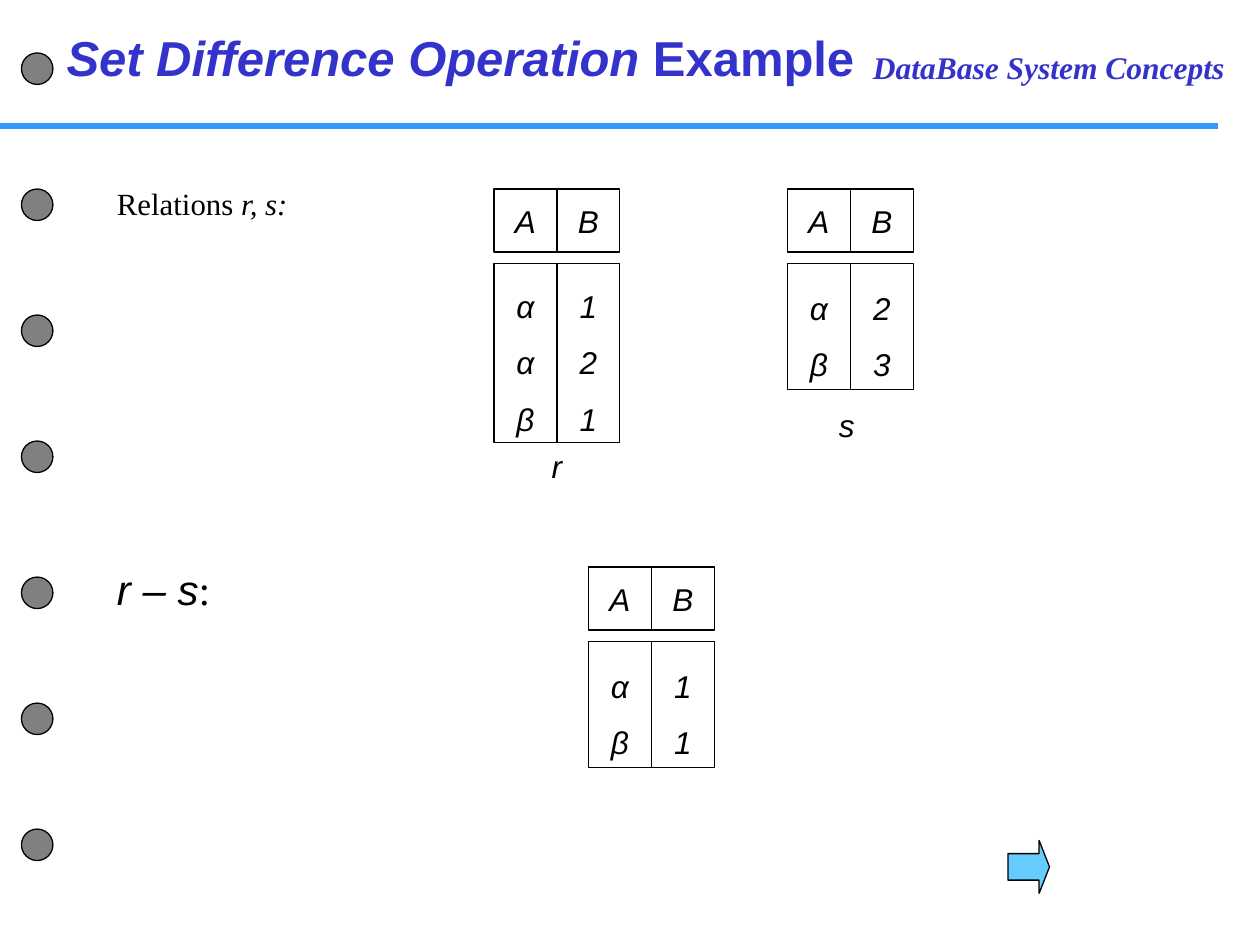
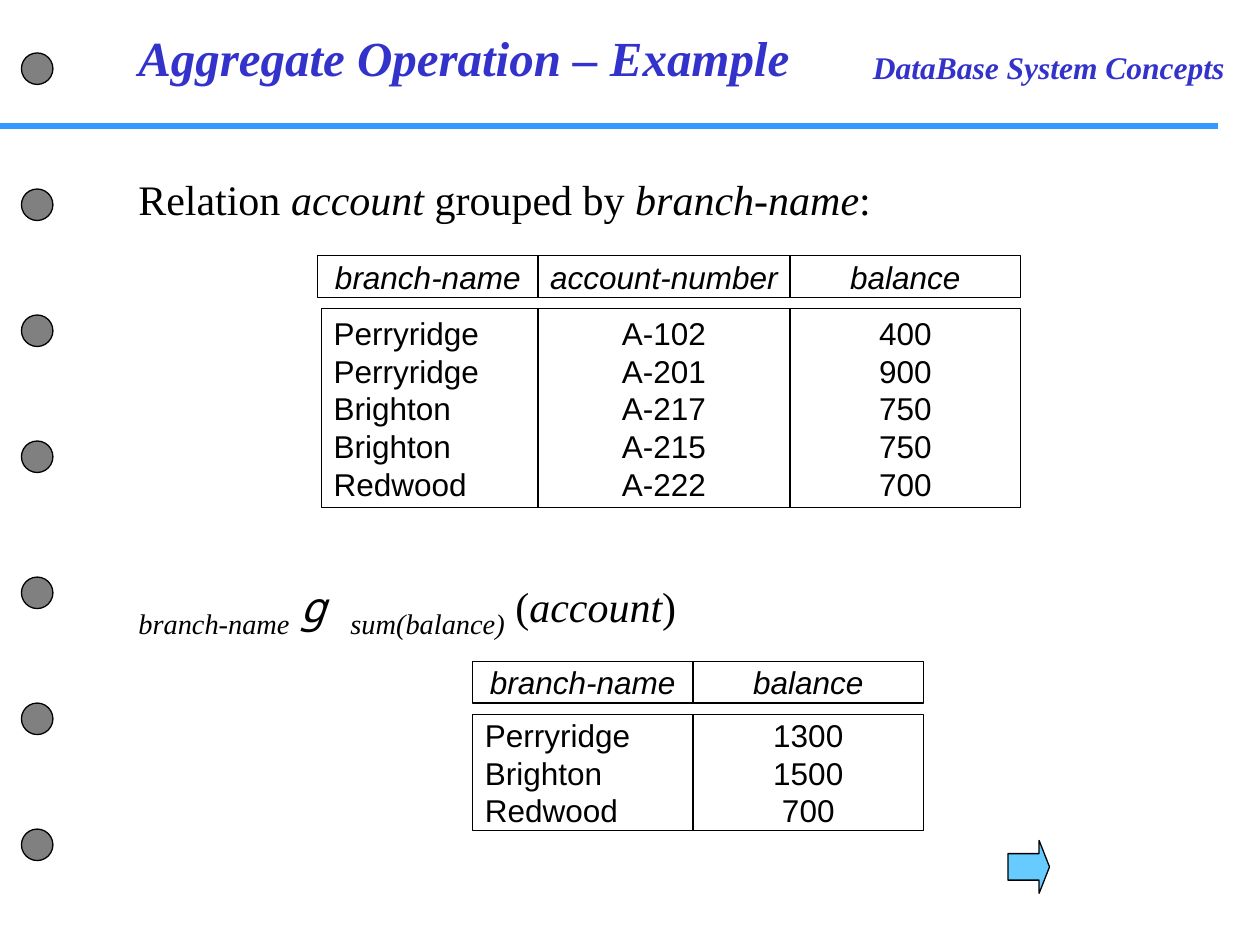
from pptx import Presentation
from pptx.dml.color import RGBColor
from pptx.enum.shapes import MSO_CONNECTOR as Connector, MSO_SHAPE as Preset
from pptx.enum.text import MSO_ANCHOR as Anchor, MSO_AUTO_SIZE as AutoSize, PP_ALIGN as Align
from pptx.oxml.ns import qn
from pptx.util import Inches, Pt
from lxml import etree

BLACK, WHITE = "000000", "FFFFFF"
TITLE_BLUE, RULE_BLUE = "3333CC", "3399FF"
DOT_GRAY, ARROW_BLUE = "808080", "66CCFF"
SANS, SERIF, MONO = "Arial", "Times New Roman", "Noto Sans Mono"
DOT_TOPS = (0.42, 1.5, 2.5, 3.5, 4.58, 5.58, 6.58)
HEADER_GAP = 0.09


def rgb(color):
    return RGBColor.from_string(color)


def format_run(run, size, font=SANS, color=BLACK, bold=False, italic=False, baseline=0):
    run.font.size = Pt(size)
    run.font.name = font
    run.font.color.rgb = rgb(color)
    run.font.bold = bold
    run.font.italic = italic
    if baseline:
        run._r.get_or_add_rPr().set("baseline", str(baseline * 1000))


def add_preset(slide, preset, left, top, width, height, fill):
    shape = slide.shapes.add_shape(
        preset, Inches(left), Inches(top), Inches(width), Inches(height))
    shape.shadow.inherit = False
    shape.fill.solid()
    shape.fill.fore_color.rgb = rgb(fill)
    shape.line.color.rgb = rgb(BLACK)
    shape.line.width = Pt(0.75)
    return shape


def add_text(slide, left, top, width, height, runs, wrap=True, grow=False, **style):
    box = slide.shapes.add_textbox(
        Inches(left), Inches(top), Inches(width), Inches(height))
    text_frame = box.text_frame
    text_frame.word_wrap = wrap
    text_frame.auto_size = AutoSize.SHAPE_TO_FIT_TEXT if grow else AutoSize.NONE
    for text, changes in runs:
        run = text_frame.paragraphs[0].add_run()
        run.text = text
        format_run(run, **{**style, **changes})
    return box


def add_title(slide, left, width, runs, font):
    add_text(slide, left, 0.17, width, 0.57, runs, grow=True,
             size=28, font=font, color=TITLE_BLUE, bold=True, italic=True)


def add_relation_label(slide, left, top, width, name):
    label = add_text(slide, left, top, width, 0.4, [(name, {})],
                     wrap=False, grow=True, size=18, italic=True)
    label.text_frame.vertical_anchor = Anchor.MIDDLE
    label.text_frame.paragraphs[0].alignment = Align.CENTER


def add_cell(slide, left, top, width, height, lines, align, italic, spacing):
    cell = add_preset(slide, Preset.RECTANGLE, left, top, width, height, WHITE)
    text_frame = cell.text_frame
    text_frame.word_wrap = False
    text_frame.vertical_anchor = Anchor.MIDDLE
    text_frame.text = "\n".join(lines)
    for paragraph in text_frame.paragraphs:
        paragraph.alignment = align
        paragraph.line_spacing = spacing
        format_run(paragraph.runs[0], 18, italic=italic)


def add_relation(slide, left, top, header_height, body_height, columns,
                 italic=False, spacing=1.0, first_shift=0):
    body_top = top + header_height + HEADER_GAP
    for index, (name, width, values, align) in enumerate(columns):
        shift = 0 if index else first_shift
        add_cell(slide, left, top, width, header_height, [name], Align.CENTER, True, 1.0)
        add_cell(slide, left + shift, body_top, width, body_height, values,
                 align, italic, spacing)
        left += width


def add_symbol_relation(slide, left, top, body_height, a_values, b_values):
    columns = [("A", 0.5, a_values, Align.CENTER), ("B", 0.5, b_values, Align.CENTER)]
    add_relation(slide, left, top, 0.5, body_height, columns, italic=True, spacing=1.5)


def add_base_slide(presentation):
    slide = presentation.slides.add_slide(presentation.slide_layouts[6])
    rule = slide.shapes.add_connector(
        Connector.STRAIGHT, Inches(0), Inches(1), Inches(9.67), Inches(1))
    rule.line.color.rgb = rgb(RULE_BLUE)
    rule.line.width = Pt(3)
    etree.SubElement(rule._element.spPr, qn("a:effectLst"))
    for top in DOT_TOPS:
        add_preset(slide, Preset.OVAL, 0.17, top, 0.25, 0.25, DOT_GRAY)
    add_text(slide, 6.83, 0.33, 3.17, 0.4, [("DataBase System Concepts", {})],
             grow=True, size=18, font=SERIF, color=TITLE_BLUE, bold=True, italic=True)
    arrow = add_preset(slide, Preset.RIGHT_ARROW, 8, 6.67, 0.33, 0.42, ARROW_BLUE)
    arrow.adjustments[1] = 0.25
    return slide


def build_set_difference(presentation):
    slide = add_base_slide(presentation)
    add_title(slide, 0.43, 6.5,
              [("Set Difference Operation ", {}), ("Example", {"italic": False})], SANS)
    add_text(slide, 0.83, 1.42, 2.9, 0.43,
             [("Relations ", {}), ("r, s:", {"italic": True})], size=17.6, font=SERIF)
    add_symbol_relation(slide, 3.92, 1.5, 1.42, "ααβ", "121")
    add_symbol_relation(slide, 6.25, 1.5, 1, "αβ", "23")
    add_relation_label(slide, 4.28, 3.5, 0.28, "r")
    add_relation_label(slide, 6.56, 3.17, 0.32, "s")
    add_text(slide, 0.83, 4.42, 2.17, 0.36,
             [("r – s", {"italic": True}), (":", {"font": SERIF})], size=24)
    add_symbol_relation(slide, 4.67, 4.5, 1, "αβ", "11")


def build_aggregate(presentation):
    slide = add_base_slide(presentation)
    add_title(slide, 1, 5.5, [("Aggregate Operation – Example", {})], SERIF)
    italic = {"italic": True}
    subscript = {"size": 28, "italic": True, "baseline": -25}
    add_text(slide, 1, 1.33, 8.6, 0.45,
             [("Relation ", {}), ("account", italic), (" grouped by ", {}),
              ("branch-name", italic), (":", {})], size=24, font=SERIF)
    branches = ["Perryridge", "Perryridge", "Brighton", "Brighton", "Redwood"]
    accounts = ["A-102", "A-201", "A-217", "A-215", "A-222"]
    balances = ["400", "900", "750", "750", "700"]
    add_relation(slide, 2.52, 2.03, 0.33, 1.58, [
        ("branch-name", 1.75, branches, Align.LEFT),
        ("account-number", 2, accounts, Align.CENTER),
        ("balance", 1.83, balances, Align.CENTER),
    ], first_shift=0.03)
    add_text(slide, 1, 4.5, 7.69, 0.45,
             [("branch-name", subscript), (" ", {}), ("g ", {"font": MONO, "italic": True}),
              ("sum(balance)", subscript), (" (", {}), ("account", italic), (")", {})],
             size=24, font=SERIF)
    add_relation(slide, 3.75, 5.25, 0.33, 0.92, [
        ("branch-name", 1.75, ["Perryridge", "Brighton", "Redwood"], Align.LEFT),
        ("balance", 1.83, ["1300", "1500", "700"], Align.CENTER),
    ])


def main():
    presentation = Presentation()
    presentation.slide_width = Inches(10)
    presentation.slide_height = Inches(7.5)
    build_set_difference(presentation)
    build_aggregate(presentation)
    presentation.save("out.pptx")


if __name__ == "__main__":
    main()
